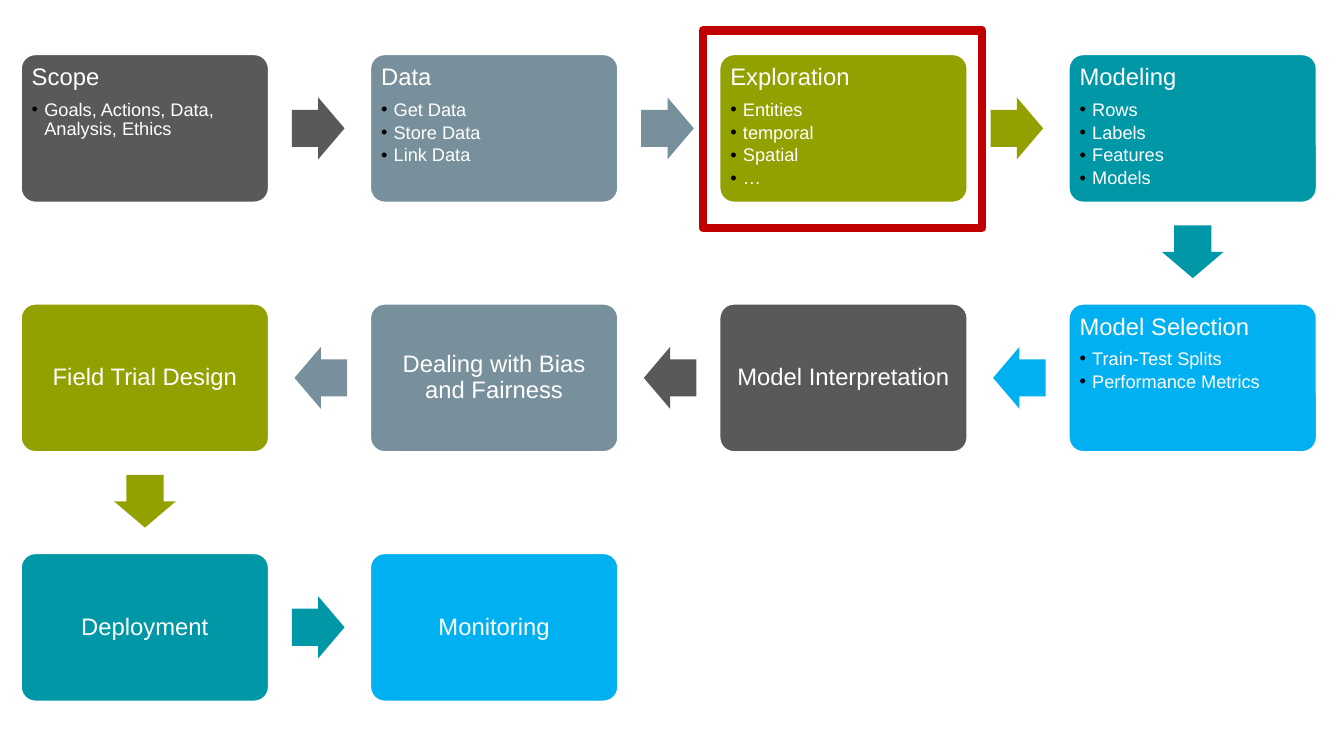
from lxml.etree import SubElement
from pptx import Presentation
from pptx.dml.color import RGBColor
from pptx.enum.shapes import MSO_SHAPE as Kind
from pptx.enum.text import MSO_ANCHOR as Anchor, PP_ALIGN as Align
from pptx.oxml.ns import qn
from pptx.util import Pt

HUES = {"gray": "595959", "slate": "78909C", "olive": "92A000",
        "teal": "0097A7", "sky": "00B0F0", "red": "C00000",
        "white": "FFFFFF", "black": "000000"}
CYCLE = ["gray", "slate", "olive", "teal", "sky"]
FONT = "Arial"
LEFT, TOP = 14.6, 38.4
STEP_X, STEP_Y = 249.5, 178.2
WIDE, HIGH = 177.8, 106.6
ARROW_W, ARROW_H, SHIFT = 37.6, 44.2, 0.9
COLS = 4

STEPS = [
    ("Scope", ["Goals, Actions, Data, Analysis, Ethics"]),
    ("Data", ["Get Data", "Store Data", "Link Data"]),
    ("Exploration", ["Entities", "temporal", "Spatial", "…"]),
    ("Modeling", ["Rows", "Labels", "Features", "Models"]),
    ("Model Selection", ["Train-Test Splits", "Performance Metrics"]),
    ("Model Interpretation", []),
    ("Dealing with Bias and Fairness", []),
    ("Field Trial Design", []),
    ("Deployment", []),
    ("Monitoring", []),
]
FOCUS = 2


def color(name):
    return RGBColor.from_string(HUES[name])


def add_block(slide, kind, box, fill=None, line=None, weight=0):
    shape = slide.shapes.add_shape(kind, *map(Pt, box))
    shape.shadow.inherit = False
    if fill:
        shape.fill.solid()
        shape.fill.fore_color.rgb = color(fill)
    else:
        shape.fill.background()
    if line:
        shape.line.color.rgb = color(line)
        shape.line.width = Pt(weight)
    else:
        shape.line.fill.background()
    return shape


def add_text(para, text, size, after, align):
    para.alignment = align
    para.line_spacing = 0.9
    para.space_after = Pt(after)
    run = para.add_run()
    run.text = text
    run.font.name = FONT
    run.font.size = Pt(size)
    run.font.color.rgb = color("white")


def add_bullet(para):
    para.level = 1
    props = para._p.get_or_add_pPr()
    props.set("marL", str(Pt(9)))
    props.set("indent", str(Pt(-9)))
    tint = SubElement(props, qn("a:buClr"))
    SubElement(tint, qn("a:srgbClr"), val=HUES["black"])
    SubElement(props, qn("a:buFont"), typeface=FONT)
    SubElement(props, qn("a:buChar"), char="•")


def add_step(slide, box, title, items, hue):
    card = add_block(slide, Kind.ROUNDED_RECTANGLE, box, hue, "white", 2)
    card.adjustments[0] = 0.1
    frame = card.text_frame
    frame.word_wrap = True
    frame.margin_left = frame.margin_right = Pt(5)
    frame.margin_top = frame.margin_bottom = Pt(5)
    frame.vertical_anchor = Anchor.TOP if items else Anchor.MIDDLE
    align = Align.LEFT if items else Align.CENTER
    add_text(frame.paragraphs[0], title, 17, 6.8, align)
    for item in items:
        para = frame.add_paragraph()
        add_text(para, item, 13, 2.3, align)
        add_bullet(para)


def add_arrow(slide, box, dest, hue):
    x, y, w, h = box
    dx, dy = dest[0] - x, dest[1] - y
    way_x, way_y = (dx > 0) - (dx < 0), (dy > 0) - (dy < 0)
    mid_x = x + (w + dx) / 2 - way_x * SHIFT
    mid_y = y + (h + dy) / 2 - way_y * SHIFT
    spot = (mid_x - ARROW_W / 2, mid_y - ARROW_H / 2, ARROW_W, ARROW_H)
    arrow = add_block(slide, Kind.RIGHT_ARROW, spot, hue)
    arrow.adjustments[0] = 0.6
    arrow.adjustments[1] = 0.5
    arrow.rotation = 90 if way_y else 180 if way_x < 0 else 0


def add_focus(slide, box):
    x, y, w, h = box
    spot = (x - 11.6, y - 16.7, w + 21.7, h + 34.5)
    add_block(slide, Kind.RECTANGLE, spot, line="red", weight=6)


def get_box(index):
    row, col = divmod(index, COLS)
    if row % 2:
        col = COLS - 1 - col
    return LEFT + col * STEP_X, TOP + row * STEP_Y, WIDE, HIGH


def add_flow(slide):
    boxes = [get_box(i) for i in range(len(STEPS))]
    for i, (title, items) in enumerate(STEPS):
        hue = CYCLE[i % len(CYCLE)]
        add_step(slide, boxes[i], title, items, hue)
        if i + 1 < len(STEPS):
            add_arrow(slide, boxes[i], boxes[i + 1], hue)
    add_focus(slide, boxes[FOCUS])


def main():
    deck = Presentation()
    deck.slide_width, deck.slide_height = Pt(960), Pt(540)
    slide = deck.slides.add_slide(deck.slide_layouts[6])
    add_flow(slide)
    deck.save("out.pptx")


if __name__ == "__main__":
    main()
